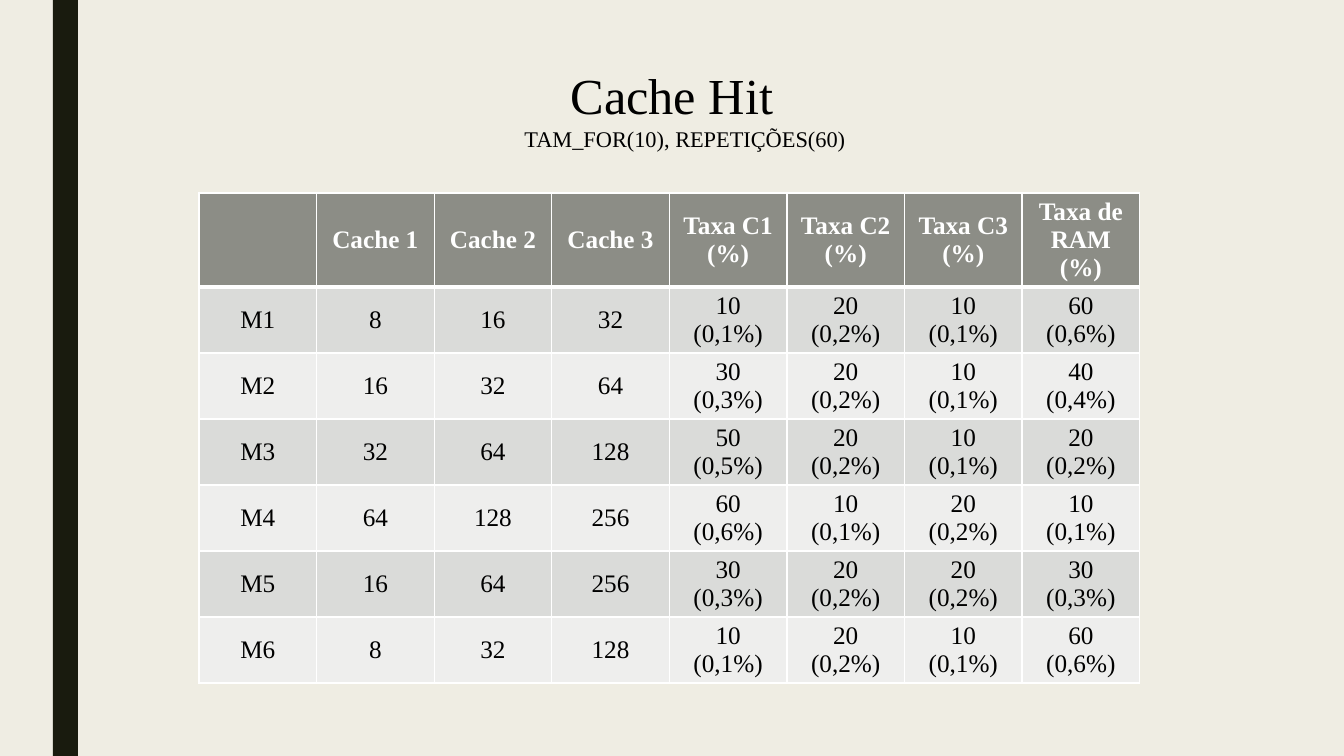
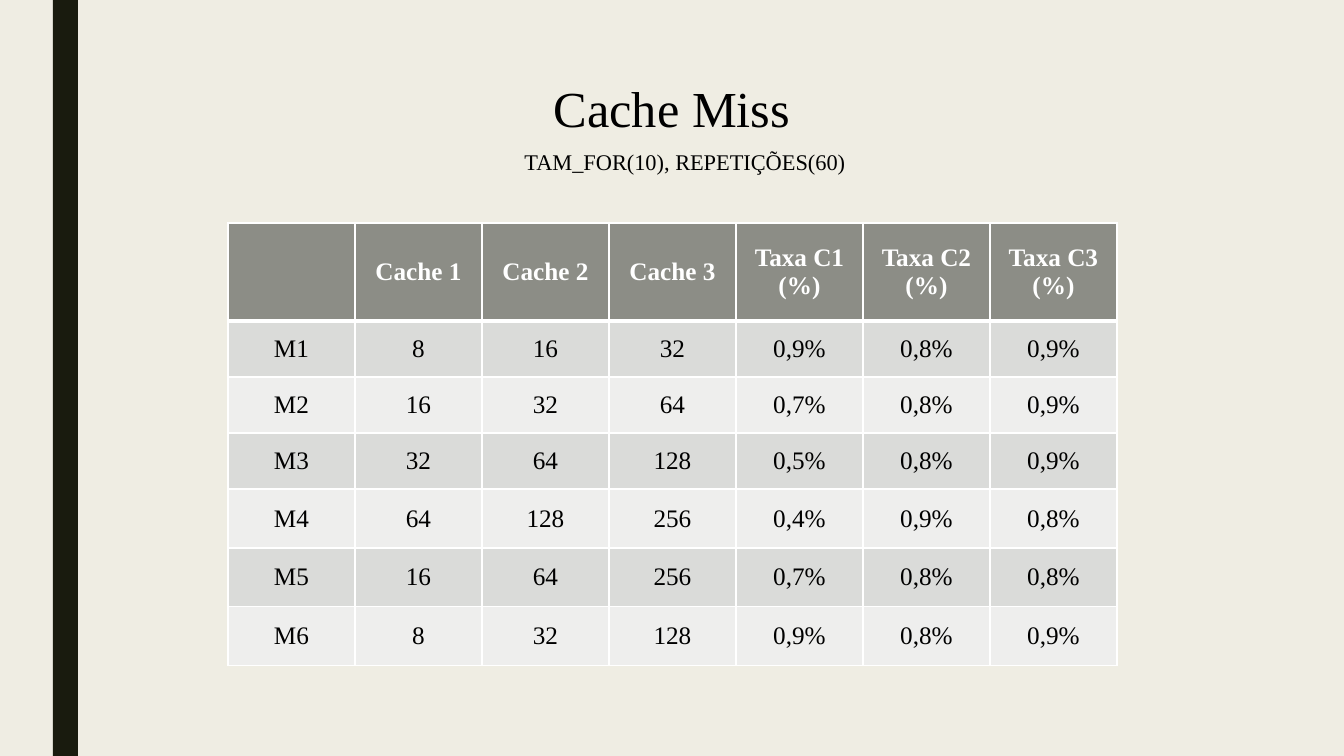
from lxml.etree import SubElement
from pptx import Presentation
from pptx.dml.color import RGBColor
from pptx.enum.shapes import MSO_SHAPE as Shape
from pptx.enum.text import MSO_ANCHOR as Anchor, MSO_AUTO_SIZE as AutoSize, PP_ALIGN as Align
from pptx.oxml.ns import qn
from pptx.util import Emu, Pt

# Shared look
PAGE_W, PAGE_H = 1344, 756
EMU_PER_PX = 914400 / 100.8
FONT = "Times New Roman"
PAPER = RGBColor(0xEF, 0xED, 0xE3)
INK = RGBColor(0x19, 0x1B, 0x0E)
BLACK = RGBColor(0, 0, 0)
WHITE = RGBColor(0xFF, 0xFF, 0xFF)
HEADER = RGBColor(0x8C, 0x8D, 0x86)
STRIPES = (RGBColor(0xEE, 0xEE, 0xED), RGBColor(0xDA, 0xDB, 0xD9))

TITLE = dict(size=Pt(36), bold=False, name=FONT)
SUBTITLE = dict(size=Pt(16), bold=False, name=FONT)
HEAD_CELL = dict(size=Pt(18), bold=True, name=FONT)
BODY_CELL = dict(size=Pt(18), bold=False, name=FONT)

# Contents
SETTINGS = "TAM_FOR(10), REPETIÇÕES(60)"
HEADINGS = ["", "Cache 1", "Cache 2", "Cache 3", "Taxa C1 (%)", "Taxa C2\n(%)", "Taxa C3\n(%)"]
CACHE_SIZES = [(8, 16, 32), (16, 32, 64), (32, 64, 128),
               (64, 128, 256), (16, 64, 256), (8, 32, 128)]
HITS = [(10, 20, 10, 60), (30, 20, 10, 40), (50, 20, 10, 20),
        (60, 10, 20, 10), (30, 20, 20, 30), (10, 20, 10, 60)]
MISS_TENTHS = [(9, 8, 9), (7, 8, 9), (5, 8, 9), (4, 9, 8), (7, 8, 8), (9, 8, 9)]


def px(length):
    return Emu(round(length * EMU_PER_PX))


def format_text(frame, style, color):
    for para in frame.paragraphs:
        para.alignment = Align.CENTER
        for span in para.runs:
            for key, value in style.items():
                setattr(span.font, key, value)
            span.font.color.rgb = color


def add_band(page):
    band = page.shapes.add_shape(Shape.RECTANGLE, px(53), 0, px(25), px(PAGE_H))
    band.shadow.inherit = False
    band.fill.solid()
    band.fill.fore_color.rgb = INK
    band.line.fill.background()


def fill_line(shape, box, text, style):
    """Put one centred line of text at the foot of the box."""
    for key, length in zip(("left", "top", "width", "height"), box):
        setattr(shape, key, px(length))
    frame = shape.text_frame
    frame.text = text
    frame.word_wrap = True
    frame.auto_size = AutoSize.NONE
    frame.vertical_anchor = Anchor.BOTTOM
    format_text(frame, style, BLACK)


def add_border(cell, side, points):
    properties = cell._tc.get_or_add_tcPr()
    line = SubElement(properties, qn(f"a:ln{side}"), w=str(Pt(points)))
    fill = SubElement(line, qn("a:solidFill"))
    SubElement(fill, qn("a:srgbClr"), val=str(WHITE))


def format_cell(cell, text, row):
    is_header = row == 0
    # The rule under the header is thicker than the others
    widths = dict(L=1, R=1, T=3 if row == 1 else 1, B=3 if is_header else 1)
    for side, points in widths.items():
        add_border(cell, side, points)
    cell.fill.solid()
    cell.fill.fore_color.rgb = HEADER if is_header else STRIPES[row % 2]
    cell.text = text
    cell.vertical_anchor = Anchor.MIDDLE
    format_text(cell.text_frame, HEAD_CELL if is_header else BODY_CELL,
                WHITE if is_header else BLACK)


def add_cache_table(page, box, rows, heights):
    left, top, width = map(px, box)
    table = page.shapes.add_table(len(rows), len(rows[0]), left, top, width,
                                  px(sum(heights))).table
    table.horz_banding = False
    for row, (texts, height) in enumerate(zip(rows, heights)):
        table.rows[row].height = px(height)
        for column, text in enumerate(texts):
            format_cell(table.cell(row, column), text, row)


def cache_rows(headings, rates):
    body = [[f"M{number}", *map(str, sizes), *rate]
            for number, (sizes, rate) in enumerate(zip(CACHE_SIZES, rates), 1)]
    return [headings, *body]


def add_cache_page(deck, title, title_top, subtitle_top, table_box, rows, heights):
    page = deck.slides.add_slide(deck.slide_layouts.get_by_name("Title Only"))
    add_band(page)
    fill_line(page.shapes.title, (273, title_top, 798, 72), title, TITLE)
    subtitle = page.shapes.add_textbox(0, 0, 0, 0)
    fill_line(subtitle, (454, subtitle_top, 462, 37), SETTINGS, SUBTITLE)
    add_cache_table(page, table_box, rows, heights)


deck = Presentation()
deck.slide_width, deck.slide_height = px(PAGE_W), px(PAGE_H)
backdrop = deck.slide_master.background.fill
backdrop.solid()
backdrop.fore_color.rgb = PAPER

# Cache hits
hit_rates = [[f"{hits} (0,{hits // 10}%)" for hits in row] for row in HITS]
add_cache_page(deck, "Cache Hit", 58, 120, (199, 193, 941),
               cache_rows(HEADINGS + ["Taxa de RAM (%)"], hit_rates), [94] + [66] * 6)

# Cache misses
miss_rates = [[f"0,{tenths}%" for tenths in row] for row in MISS_TENTHS]
add_cache_page(deck, "Cache Miss", 71, 143, (228, 223, 889),
               cache_rows(HEADINGS, miss_rates), [98] + [56] * 3 + [59] * 3)

deck.save("out.pptx")
